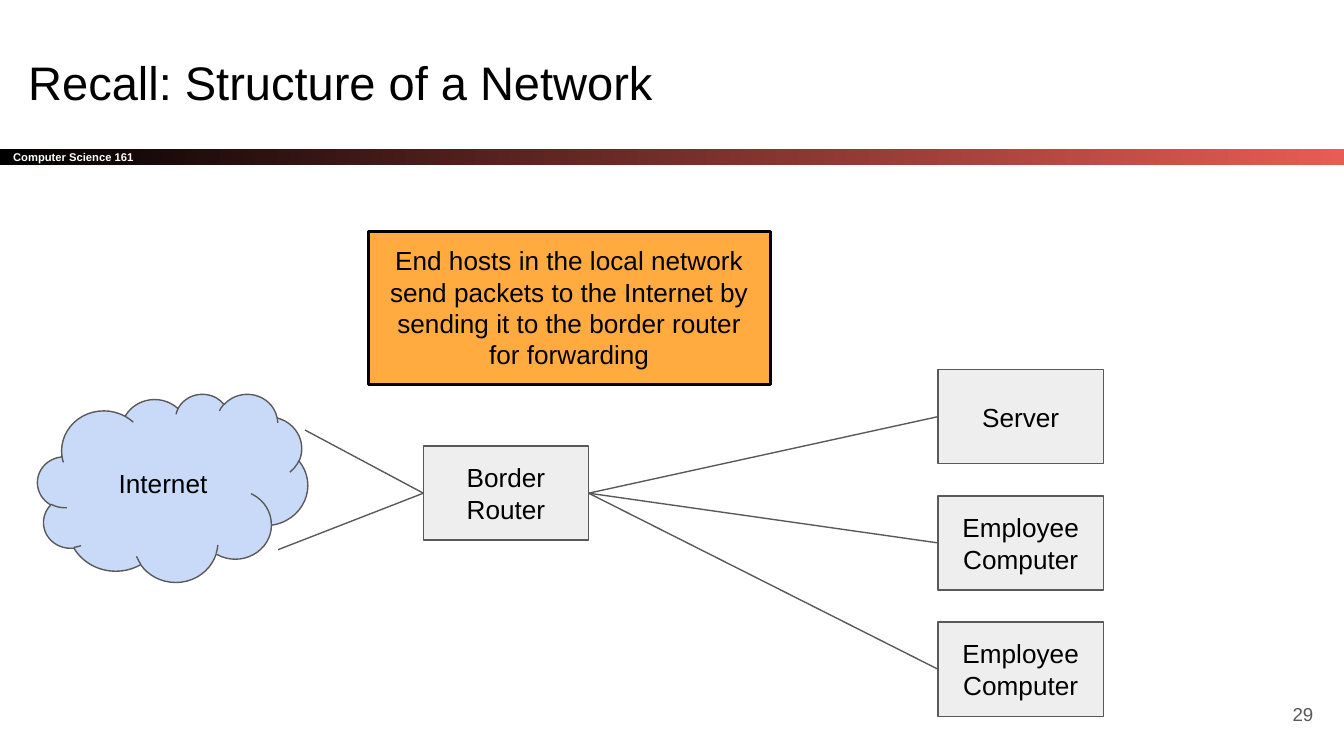
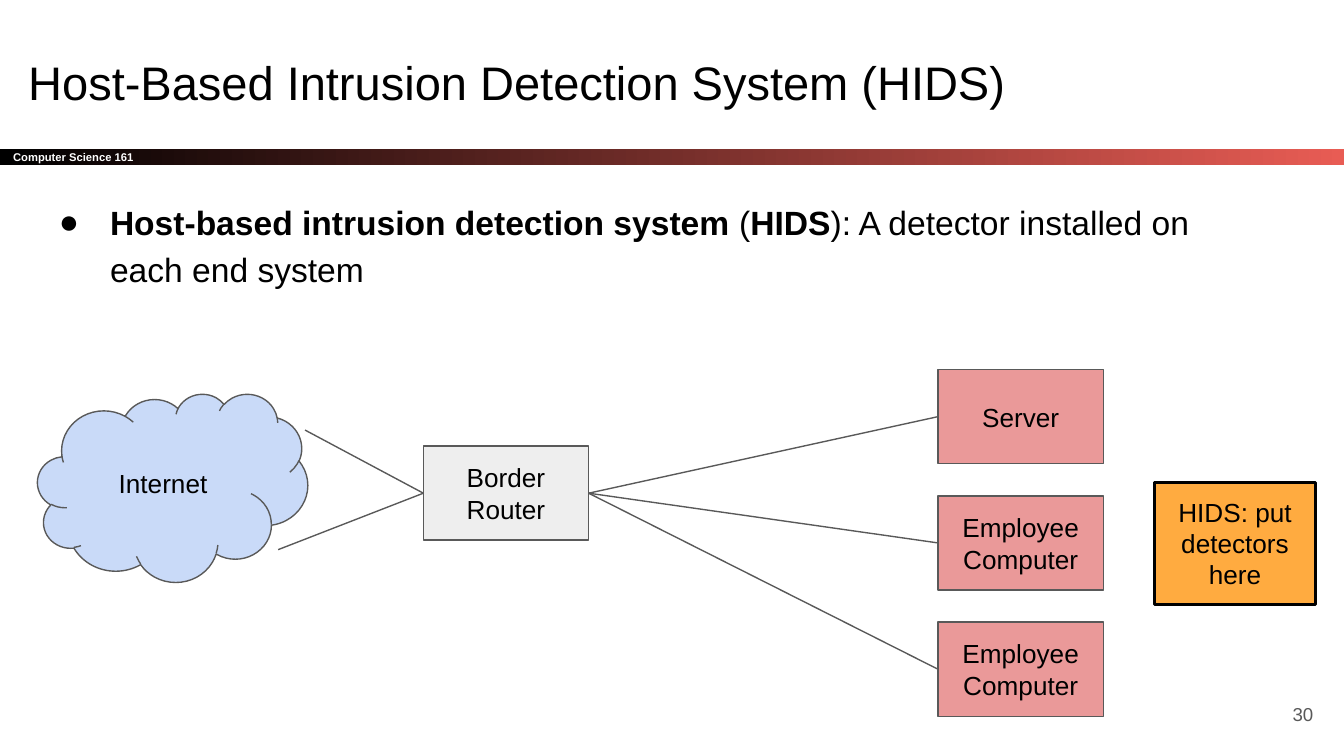
from dataclasses import dataclass

from lxml.etree import SubElement
from pptx import Presentation
from pptx.dml.color import RGBColor
from pptx.enum.shapes import MSO_CONNECTOR, MSO_SHAPE
from pptx.enum.text import MSO_ANCHOR, MSO_AUTO_SIZE, PP_ALIGN
from pptx.oxml.ns import qn
from pptx.util import Inches, Pt


@dataclass(frozen=True)
class Theme:
    """Colours, font and type sizes of the deck."""
    font: str = "Arial"
    ink: str = "000000"
    paper: str = "FFFFFF"
    accent: str = "E85C54"
    outline: str = "595959"
    node: str = "EEEEEE"
    detector: str = "EA9999"
    callout: str = "FFAB40"
    cloud: str = "C9DAF8"
    title_size: float = 25.2
    body_size: float = 18
    label_size: float = 14
    number_size: float = 10
    band_size: float = 6
    thin: float = 0.75
    thick: float = 1.5


THEME = Theme()
LEFT, RIGHT = 1, 3
NODE_WIDTH, NODE_HEIGHT = 1.23, 0.7
HOSTS = ("Server", "Employee Computer", "Employee Computer")
HOST_LEFT, HOST_TOP, HOST_PITCH = 6.98, 2.75, 0.94
CLOUD_EXITS = ((2.27, 3.2), (2.07, 4.09))


def rgb(value):
    """Turn a hex string into a colour."""
    return RGBColor.from_string(value)


def set_font(font, size, color=THEME.ink, bold=False):
    """Apply the deck's font in a given size and colour."""
    font.name = THEME.font
    font.size = Pt(size)
    font.color.rgb = rgb(color)
    font.bold = bold


def prepare_frame(box, anchor):
    """Set wrapping, insets and anchor, and return the text frame."""
    frame = box.text_frame
    frame.word_wrap = True
    frame.auto_size = MSO_AUTO_SIZE.NONE
    frame.vertical_anchor = anchor
    frame.margin_left = frame.margin_right = Inches(0.1)
    frame.margin_top = frame.margin_bottom = Inches(0.1)
    return frame


def write(box, text, size, color=THEME.ink, align=PP_ALIGN.CENTER,
          anchor=MSO_ANCHOR.MIDDLE, bold=False):
    """Fill a box with one evenly formatted paragraph."""
    para = prepare_frame(box, anchor).paragraphs[0]
    para.text = text
    para.alignment = align
    set_font(para.font, size, color, bold)


def add_node(page, text, area, fill, kind=MSO_SHAPE.RECTANGLE,
             line=THEME.outline, width=THEME.thin, anchor=MSO_ANCHOR.MIDDLE):
    """Add a filled, outlined shape with a centred label."""
    node = page.shapes.add_shape(kind, *map(Inches, area))
    node.shadow.inherit = False
    node.fill.solid()
    node.fill.fore_color.rgb = rgb(fill)
    node.line.color.rgb = rgb(line)
    node.line.width = Pt(width)
    write(node, text, THEME.label_size, anchor=anchor)
    return node


def add_callout(page, text, area):
    """Add an orange note that grows with its text."""
    note = add_node(page, text, area, THEME.callout, line=THEME.ink,
                    width=THEME.thick, anchor=MSO_ANCHOR.TOP)
    note.text_frame.auto_size = MSO_AUTO_SIZE.SHAPE_TO_FIT_TEXT


def add_link(page, start, target, side):
    """Draw a line from a point to one side of a node."""
    x, y = map(Inches, start)
    link = page.shapes.add_connector(MSO_CONNECTOR.STRAIGHT, x, y, x, y)
    link.end_connect(target, side)
    link.line.color.rgb = rgb(THEME.outline)
    link.line.width = Pt(THEME.thin)
    SubElement(link.element.spPr, qn("a:effectLst"))
    return link


def add_network(page, host_fill):
    """Draw the Internet, the border router and the end hosts."""
    hosts = [
        add_node(page, name, (HOST_LEFT, HOST_TOP + row * HOST_PITCH,
                              NODE_WIDTH, NODE_HEIGHT), host_fill)
        for row, name in enumerate(HOSTS)
    ]
    router = add_node(page, "Border Router",
                      (3.15, 3.32, NODE_WIDTH, NODE_HEIGHT), THEME.node)
    for host in hosts:
        link = add_link(page, (HOST_LEFT, HOST_TOP), router, RIGHT)
        link.begin_connect(host, LEFT)
    add_node(page, "Internet", (0.28, 2.93, 2.01, 1.4), THEME.cloud,
             MSO_SHAPE.CLOUD)
    for point in CLOUD_EXITS:
        add_link(page, point, router, LEFT)


def add_band(page):
    """Add the gradient band with the course name."""
    band = page.shapes.add_shape(
        MSO_SHAPE.RECTANGLE, *map(Inches, (0, 1.11, 10, 0.12)))
    band.shadow.inherit = False
    band.line.fill.background()
    band.fill.gradient()
    band.fill.gradient_angle = 0
    for stop, color in zip(band.fill.gradient_stops,
                           (THEME.ink, THEME.accent)):
        stop.color.rgb = rgb(color)
    write(band, "Computer Science 161", THEME.band_size, THEME.paper,
          PP_ALIGN.LEFT, bold=True)


def add_page(deck, title, number):
    """Add a page with its title, band and page number."""
    page = deck.slides.add_slide(deck.slide_layouts[5])
    heading = page.shapes.title
    heading.left, heading.top, heading.width, heading.height = map(
        Inches, (0.11, 0.3, 9.32, 0.63))
    write(heading, title, THEME.title_size, align=PP_ALIGN.LEFT,
          anchor=MSO_ANCHOR.TOP)
    add_band(page)
    box = page.shapes.add_textbox(*map(Inches, (9.27, 5.1, 0.6, 0.43)))
    write(box, str(number), THEME.number_size, THEME.outline, PP_ALIGN.RIGHT)
    return page


def add_bullet(page, spans):
    """Add a bulleted paragraph made of (text, bold) spans."""
    box = page.shapes.add_textbox(*map(Inches, (0.22, 1.36, 9.32, 0.87)))
    para = prepare_frame(box, MSO_ANCHOR.TOP).paragraphs[0]
    para.line_spacing = 1.15
    properties = para._p.get_or_add_pPr()
    properties.set("marL", str(Inches(0.5)))
    properties.set("indent", str(Inches(-0.38)))
    color = SubElement(properties, qn("a:buClr"))
    SubElement(color, qn("a:srgbClr"), val=THEME.ink)
    SubElement(properties, qn("a:buFont"), typeface=THEME.font)
    SubElement(properties, qn("a:buChar"), char="●")
    for text, bold in spans:
        span = para.add_run()
        span.text = text
        set_font(span.font, THEME.body_size, bold=bold)


def main():
    """Build and save the deck."""
    deck = Presentation()
    deck.slide_width = Inches(10)
    deck.slide_height = deck.slide_width * 9 // 16

    page = add_page(deck, "Recall: Structure of a Network", 29)
    add_network(page, THEME.node)
    add_callout(page, "End hosts in the local network send packets to the "
                "Internet by sending it to the border router for forwarding",
                (2.74, 1.72, 2.99, 1.14))

    page = add_page(deck, "Host-Based Intrusion Detection System (HIDS)", 30)
    add_bullet(page, (
        ("Host-based intrusion detection system", True),
        (" (", False),
        ("HIDS", True),
        ("): A detector installed on each end system", False),
    ))
    add_network(page, THEME.detector)
    add_callout(page, "HIDS: put detectors here", (8.59, 3.59, 1.2, 0.91))

    deck.save("out.pptx")


if __name__ == "__main__":
    main()
